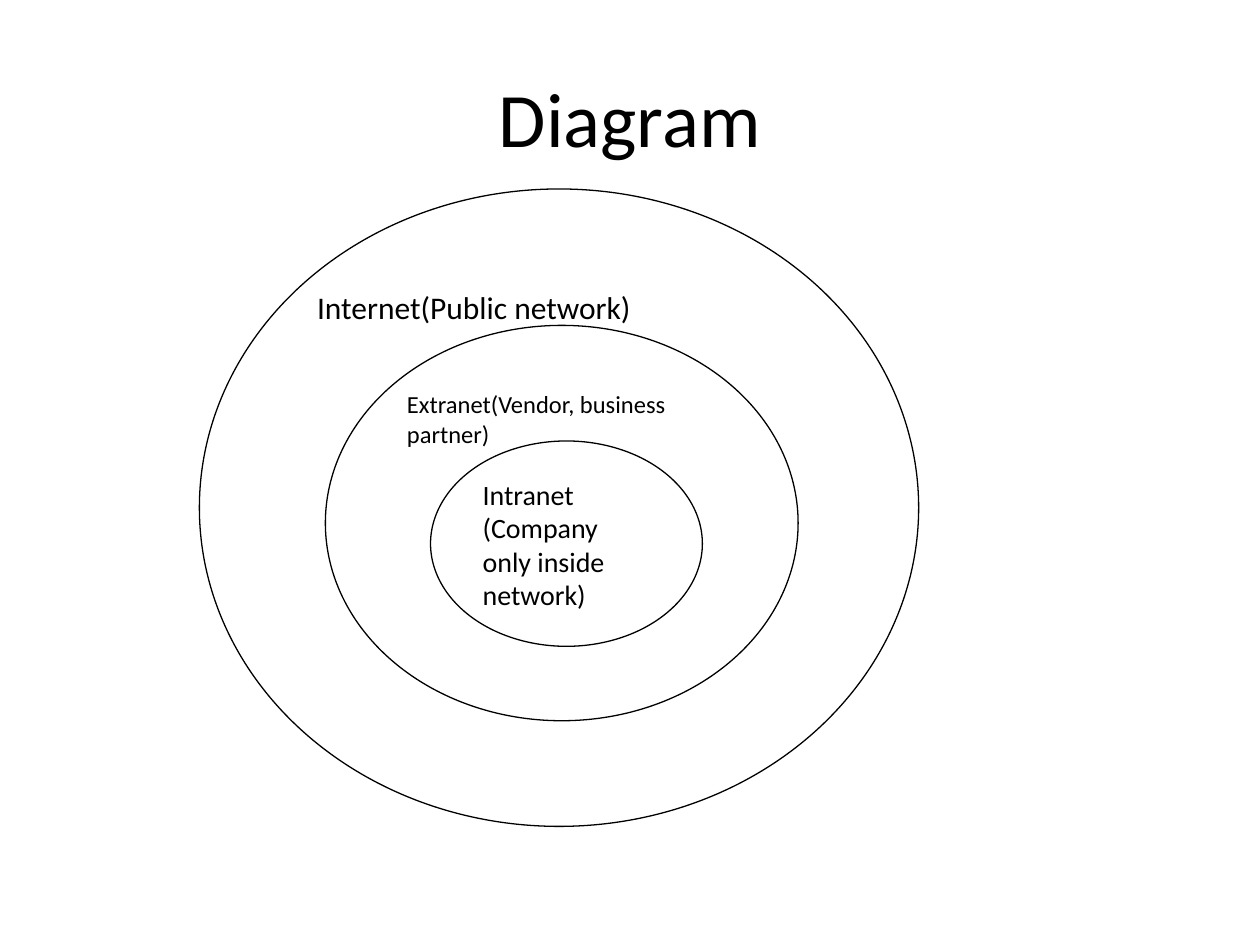
from pptx import Presentation
from pptx.dml.color import RGBColor
from pptx.enum.shapes import MSO_SHAPE as Shape
from pptx.enum.text import MSO_ANCHOR as Anchor, PP_ALIGN as Align
from pptx.util import Cm, Pt

BLACK = RGBColor(0, 0, 0)
WHITE = RGBColor(255, 255, 255)
FONT = "Calibri"

# Left, top, width and height in centimetres, text, text size in points
NETWORKS = [
    (4.02, 3.81, 14.5, 12.85, "Internet(Public network)", 18),
    (6.56, 6.56, 9.53, 7.97, "Extranet(Vendor, business partner)", 14),
    (8.68, 8.89, 5.48, 4.14, "Intranet\n(Company only inside network)", 16),
]


def set_text(text_frame, text, size, align, anchor):
    """Fill a text frame and format all of its paragraphs."""
    text_frame.text = text
    text_frame.word_wrap = True
    text_frame.vertical_anchor = anchor
    for paragraph in text_frame.paragraphs:
        paragraph.alignment = align
        for run in paragraph.runs:
            run.font.name = FONT
            run.font.size = Pt(size)
            run.font.color.rgb = BLACK


def set_title(slide, text):
    """Place and format the slide title."""
    title = slide.shapes.title
    title.left, title.top = Cm(1.27), Cm(0.76)
    title.width, title.height = Cm(22.86), Cm(3.18)
    set_text(title.text_frame, text, 44, Align.CENTER, Anchor.MIDDLE)


def add_network(group, left, top, width, height, text, size):
    """Add one outlined ellipse with its label at the top left."""
    shape = group.shapes.add_shape(
        Shape.OVAL, Cm(left), Cm(top), Cm(width), Cm(height))
    shape.shadow.inherit = False
    shape.fill.solid()
    shape.fill.fore_color.rgb = WHITE
    shape.line.color.rgb = BLACK
    shape.line.width = Pt(0.75)
    set_text(shape.text_frame, text, size, Align.LEFT, Anchor.TOP)


def main():
    """Build the slide of nested networks and save it."""
    presentation = Presentation()
    presentation.slide_width, presentation.slide_height = Cm(25.4), Cm(19.05)
    slide = presentation.slides.add_slide(presentation.slide_layouts[5])
    set_title(slide, "Diagram")
    group = slide.shapes.add_group_shape()
    for network in NETWORKS:
        add_network(group, *network)
    presentation.save("out.pptx")


main()
